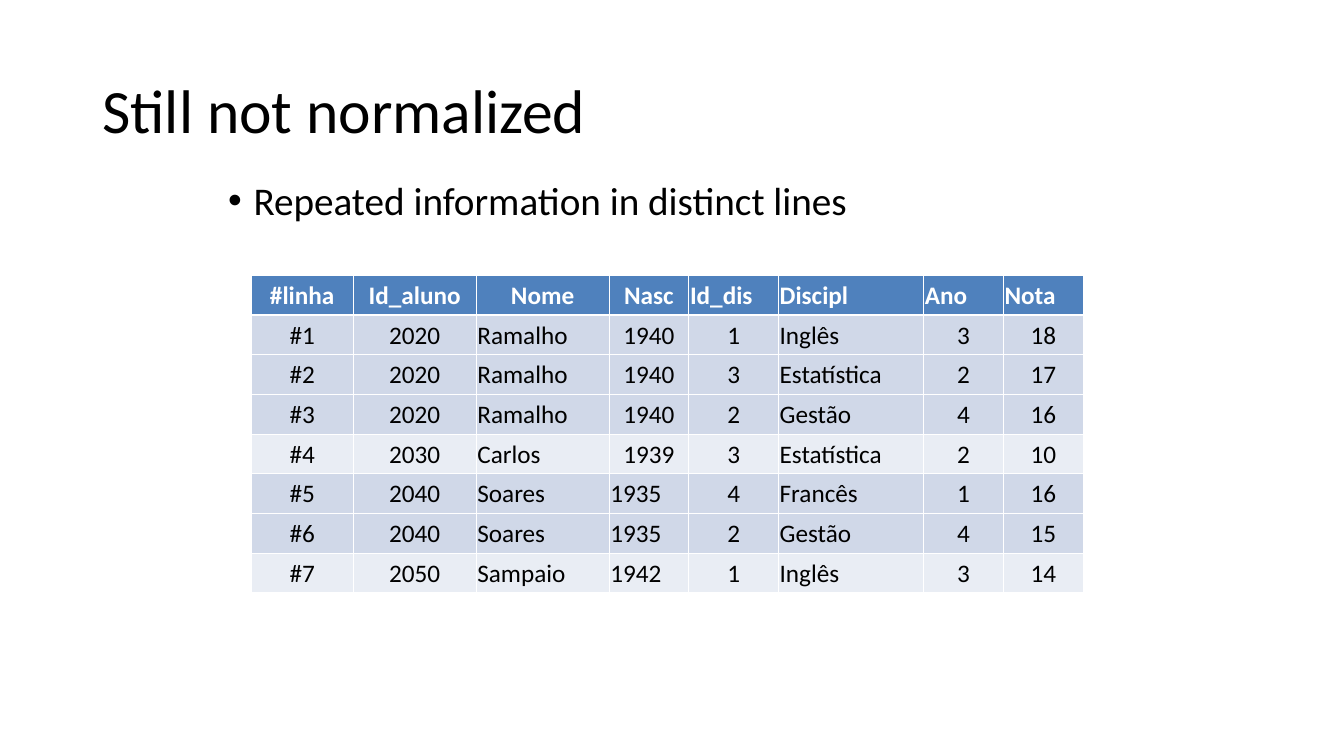
from lxml import etree
from pptx import Presentation, util as u
from pptx.dml import color
from pptx.enum import text
from pptx.oxml import ns

WHITE, BLACK = "FFFFFF", "000000"
HEADER_BLUE, BAND_DARK, BAND_LIGHT = "4F81BD", "D0D8E8", "E9EDF4"

HEADINGS = ["#linha", "Id_aluno", "Nome", "Nasc", "Id_dis", "Discipl", "Ano", "Nota"]
RECORDS = [
    ["#1", "2020", "Ramalho", "1940", "1", "Inglês", "3", "18"],
    ["#2", "2020", "Ramalho", "1940", "3", "Estatística", "2", "17"],
    ["#3", "2020", "Ramalho", "1940", "2", "Gestão", "4", "16"],
    ["#4", "2030", "Carlos", "1939", "3", "Estatística", "2", "10"],
    ["#5", "2040", "Soares", "1935", "4", "Francês", "1", "16"],
    ["#6", "2040", "Soares", "1935", "2", "Gestão", "4", "15"],
    ["#7", "2050", "Sampaio", "1942", "1", "Inglês", "3", "14"],
]
COLUMN_WIDTHS = [2.57, 3.1, 3.35, 2.01, 2.26, 3.66, 2.01, 2.01]
NAME, BIRTH, COURSE = 2, 3, 5
FIRST_LEFT_HEADING = 4
FIRST_LEFT_BIRTH = 5


def rgb(value):
    return color.RGBColor.from_string(value)


def is_centred(row, column):
    if row == 0:
        return column < FIRST_LEFT_HEADING
    if column == BIRTH:
        return row < FIRST_LEFT_BIRTH
    return column not in (NAME, COURSE)


class SlideBuilder:
    font = "Calibri"

    def __init__(self, slide):
        self.slide = slide

    def style(self, para, size, colour, bold=False):
        para.font.name = self.font
        para.font.size = u.Pt(size)
        para.font.bold = bold
        para.font.color.rgb = rgb(colour)

    def text_box(self, left, top, width, height, words, size, anchor):
        box = self.slide.shapes.add_textbox(*map(u.Cm, (left, top, width, height)))
        frame = box.text_frame
        frame.word_wrap = True
        frame.vertical_anchor = anchor
        para = frame.paragraphs[0]
        para.text = words
        para.line_spacing = 0.9
        self.style(para, size, BLACK)
        return para

    def bullet(self, para, indent):
        para.space_before = u.Pt(10)
        properties = para._p.get_or_add_pPr()
        properties.set("marL", str(u.Cm(indent)))
        properties.set("indent", str(-u.Cm(indent)))
        font = etree.Element(ns.qn("a:buFont"), typeface="Arial")
        mark = etree.Element(ns.qn("a:buChar"), char="•")
        defaults = properties.find(ns.qn("a:defRPr"))
        defaults.addprevious(font)
        defaults.addprevious(mark)

    def borders(self, cell, widths):
        properties = cell._tc.get_or_add_tcPr()
        for position, (side, width) in enumerate(widths.items()):
            line = etree.Element(ns.qn("a:ln" + side), w=str(u.Pt(width)))
            fill = etree.SubElement(line, ns.qn("a:solidFill"))
            etree.SubElement(fill, ns.qn("a:srgbClr"), val=WHITE)
            properties.insert(position, line)

    def cell(self, cell, words, fill, colour, bold, centred):
        cell.fill.solid()
        cell.fill.fore_color.rgb = rgb(fill)
        cell.vertical_anchor = text.MSO_ANCHOR.MIDDLE
        cell.margin_left = cell.margin_right = cell.margin_top = u.Cm(0.03)
        cell.margin_bottom = 0
        para = cell.text_frame.paragraphs[0]
        para.text = words
        para.alignment = text.PP_ALIGN.CENTER if centred else text.PP_ALIGN.LEFT
        self.style(para, 18, colour, bold)

    def table(self, left, top, row_height, widths, rows, fills):
        height = row_height * len(rows)
        frame = self.slide.shapes.add_table(
            len(rows), len(widths), *map(u.Cm, (left, top, sum(widths), height)))
        table = frame.table
        for column, width in zip(table.columns, widths):
            column.width = u.Cm(width)
        for r, (values, fill) in enumerate(zip(rows, fills)):
            table.rows[r].height = u.Cm(row_height)
            heading = r == 0
            for c, words in enumerate(values):
                cell = table.cell(r, c)
                self.cell(cell, words, fill, WHITE if heading else BLACK,
                          heading, is_centred(r, c))
                self.borders(cell, {"L": 1, "R": 1, "T": 1.5 if r == 1 else 1,
                                    "B": 1.5 if heading else 1})


def student_fills(records):
    """Alternate the band colour whenever the student changes."""
    students = list(dict.fromkeys(record[1] for record in records))
    bands = (BAND_DARK, BAND_LIGHT)
    return [bands[students.index(record[1]) % 2] for record in records]


def main():
    deck = Presentation()
    deck.slide_width, deck.slide_height = u.Cm(33.87), u.Cm(19.05)
    page = SlideBuilder(deck.slides.add_slide(deck.slide_layouts[6]))

    # Title and message
    page.text_box(2.33, 1.01, 29.21, 3.68, "Still not normalized", 44,
                  text.MSO_ANCHOR.MIDDLE)
    message = page.text_box(5.5, 4.45, 21.23, 2.7,
                            "Repeated information in distinct lines", 28,
                            text.MSO_ANCHOR.TOP)
    page.bullet(message, 0.64)

    # Student records
    page.table(6.33, 6.94, 1, COLUMN_WIDTHS, [HEADINGS] + RECORDS,
               [HEADER_BLUE] + student_fills(RECORDS))

    deck.save("out.pptx")


if __name__ == "__main__":
    main()
